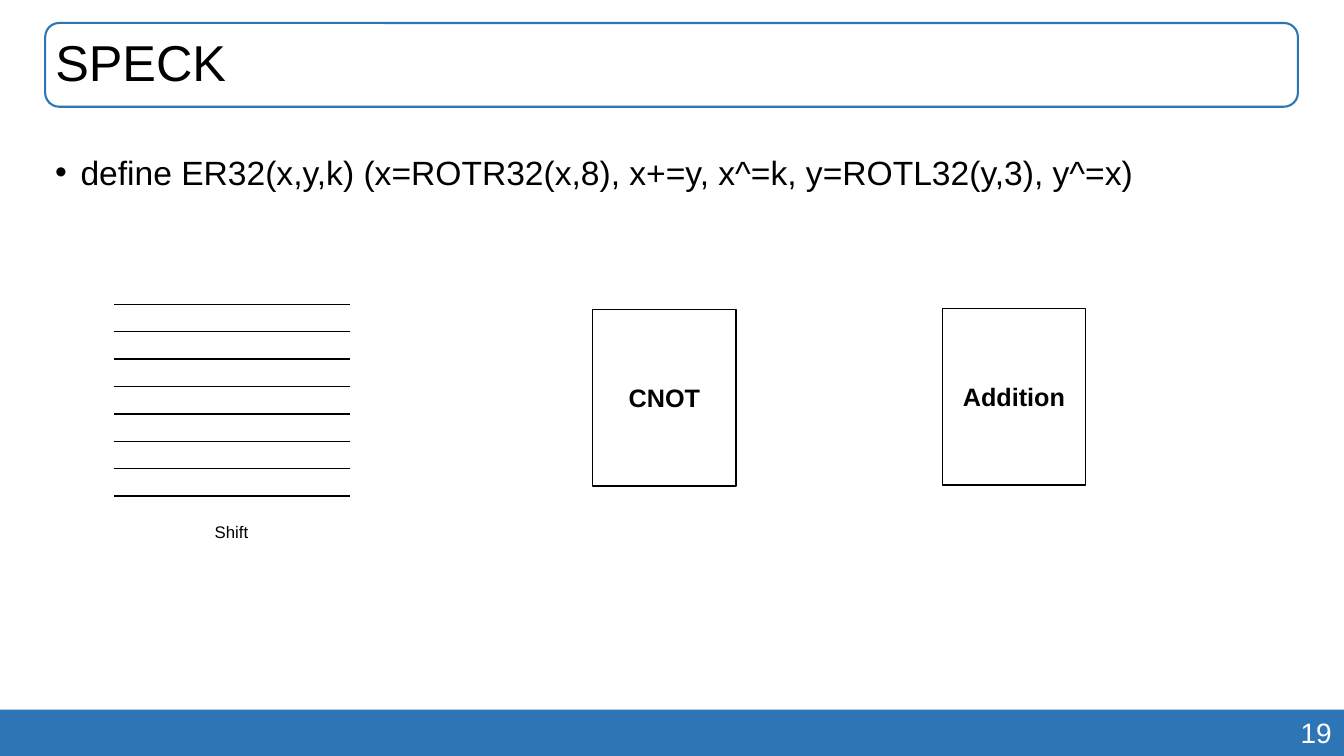
"""Build the SPECK slide with its shift wires and its two operation blocks."""
import dataclasses
import typing

import lxml.etree
import pptx
import pptx.dml.color
import pptx.enum.shapes
import pptx.enum.text
import pptx.oxml.ns
import pptx.util

Cm = pptx.util.Cm
Pt = pptx.util.Pt
RGBColor = pptx.dml.color.RGBColor
Align = pptx.enum.text.PP_ALIGN
Anchor = pptx.enum.text.MSO_ANCHOR
AutoSize = pptx.enum.text.MSO_AUTO_SIZE
Preset = pptx.enum.shapes.MSO_SHAPE
qn = pptx.oxml.ns.qn


@dataclasses.dataclass(frozen=True)
class Theme:
    font: str = "Arial"
    ink: RGBColor = RGBColor(0, 0, 0)
    paper: RGBColor = RGBColor(255, 255, 255)
    accent: RGBColor = RGBColor(0x2E, 0x75, 0xB6)
    title_size: int = 36
    body_size: int = 24
    page_size: int = 20
    block_size: int = 18
    caption_size: int = 12
    frame_width: float = 1.5
    line_width: float = 1


@dataclasses.dataclass(frozen=True)
class Box:
    left: float
    top: float
    width: float
    height: float

    def lengths(self) -> tuple[int, int, int, int]:
        return Cm(self.left), Cm(self.top), Cm(self.width), Cm(self.height)


@dataclasses.dataclass(frozen=True)
class Block:
    label: str
    box: Box


THEME = Theme()
SLIDE_WIDTH, SLIDE_HEIGHT = 33.87, 19.05
HEADER = Box(1.14, 0.58, 31.57, 2.11)
BODY = Box(1.14, 3.2, 31.57, 14.05)
FOOTER = Box(0, 17.88, SLIDE_WIDTH, 1.17)
PAGE_NUMBER = Box(23.9, 17.91, 9.91, 1.12)
SHIFT_CAPTION = Box(5.16, 13.03, 1.37, 0.76)
WIRE_LEFT, WIRE_RIGHT, WIRE_TOP, WIRE_GAP, WIRE_COUNT = 2.87, 8.81, 7.67, 0.69, 8
BLOCKS = (
    Block("CNOT", Box(14.94, 7.8, 3.61, 4.45)),
    Block("Addition", Box(23.75, 7.77, 3.61, 4.45)),
)


def write(paragraph: typing.Any, text: str, size: int, color: RGBColor = THEME.ink,
          align: Align = Align.LEFT, bold: bool = False) -> None:
    paragraph.alignment = align
    run = paragraph.add_run()
    run.text = text
    run.font.name = THEME.font
    run.font.size = Pt(size)
    run.font.bold = bold
    run.font.color.rgb = color


def add_panel(slide: typing.Any, preset: Preset, box: Box, fill: RGBColor | None = None,
              line: RGBColor | None = None, width: float = THEME.line_width) -> typing.Any:
    panel = slide.shapes.add_shape(preset, *box.lengths())
    panel.shadow.inherit = False
    if fill is None:
        panel.fill.background()
    else:
        panel.fill.solid()
        panel.fill.fore_color.rgb = fill
    if line is None:
        panel.line.fill.background()
    else:
        panel.line.color.rgb = line
        panel.line.width = Pt(width)
    return panel


def add_text_frame(slide: typing.Any, box: Box, wrap: bool = True,
                   fit: AutoSize = AutoSize.SHAPE_TO_FIT_TEXT) -> typing.Any:
    frame = slide.shapes.add_textbox(*box.lengths()).text_frame
    frame.word_wrap = wrap
    frame.auto_size = fit
    return frame


def add_header(slide: typing.Any) -> None:
    title = slide.shapes.title
    title.left, title.top, title.width, title.height = HEADER.lengths()
    title.text_frame.vertical_anchor = Anchor.MIDDLE
    title.text_frame.auto_size = AutoSize.NONE
    heading = title.text_frame.paragraphs[0]
    heading.line_spacing = 0.9
    write(heading, "SPECK", THEME.title_size)
    add_panel(slide, Preset.ROUNDED_RECTANGLE, HEADER, line=THEME.accent, width=THEME.frame_width)


def add_definition(slide: typing.Any) -> None:
    definition = add_text_frame(slide, BODY, fit=AutoSize.NONE).paragraphs[0]
    properties = definition._p.get_or_add_pPr()
    properties.set("marL", str(Cm(0.64)))
    properties.set("indent", str(Cm(-0.64)))
    lxml.etree.SubElement(properties, qn("a:buFont")).set("typeface", THEME.font)
    lxml.etree.SubElement(properties, qn("a:buChar")).set("char", "•")
    definition.line_spacing = 1.5
    write(definition, "define ER32(x,y,k) (x=ROTR32(x,8), x+=y, x^=k, y=ROTL32(y,3), y^=x)",
          THEME.body_size)


def add_shift(slide: typing.Any) -> None:
    for index in range(WIRE_COUNT):
        height = Cm(WIRE_TOP + index * WIRE_GAP)
        wire = slide.shapes.add_connector(pptx.enum.shapes.MSO_CONNECTOR.STRAIGHT,
                                          Cm(WIRE_LEFT), height, Cm(WIRE_RIGHT), height)
        wire.line.color.rgb = THEME.ink
        wire.line.width = Pt(THEME.line_width)
        lxml.etree.SubElement(wire._element.spPr, qn("a:effectLst"))
    caption = add_text_frame(slide, SHIFT_CAPTION, wrap=False)
    write(caption.paragraphs[0], "Shift", THEME.caption_size)


def add_block(slide: typing.Any, block: Block) -> None:
    frame = add_panel(slide, Preset.RECTANGLE, block.box, THEME.paper, THEME.ink).text_frame
    frame.vertical_anchor = Anchor.MIDDLE
    write(frame.paragraphs[0], block.label, THEME.block_size, align=Align.CENTER, bold=True)


def add_footer(slide: typing.Any) -> None:
    add_panel(slide, Preset.RECTANGLE, FOOTER, fill=THEME.accent)
    page = add_text_frame(slide, PAGE_NUMBER)
    write(page.paragraphs[0], "19", THEME.page_size, THEME.paper, Align.RIGHT)


def main() -> None:
    deck = pptx.Presentation()
    deck.slide_width, deck.slide_height = Cm(SLIDE_WIDTH), Cm(SLIDE_HEIGHT)
    slide = deck.slides.add_slide(deck.slide_layouts.get_by_name("Title Only"))
    add_footer(slide)
    add_header(slide)
    add_definition(slide)
    add_shift(slide)
    for block in BLOCKS:
        add_block(slide, block)
    deck.save("out.pptx")


if __name__ == "__main__":
    main()
